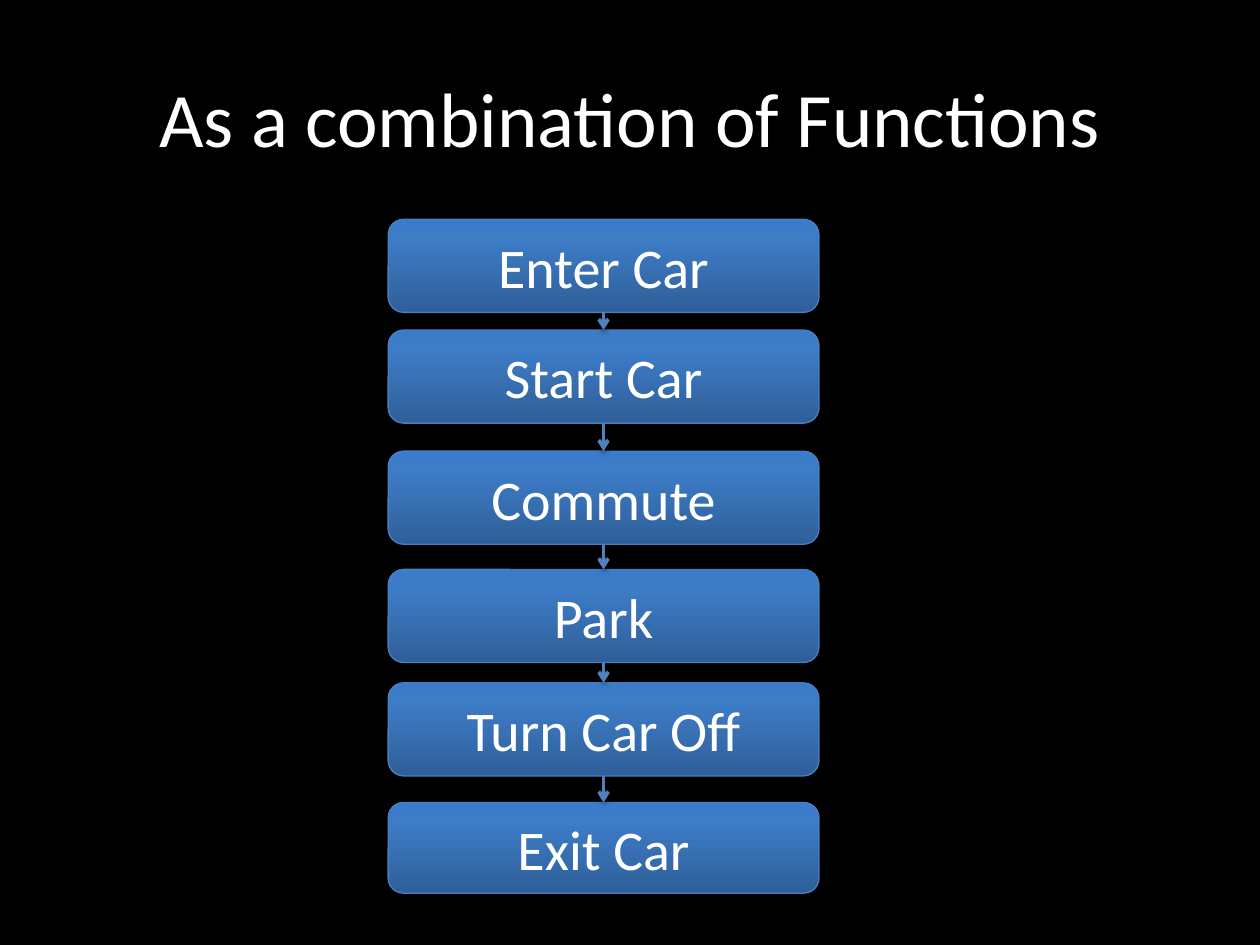
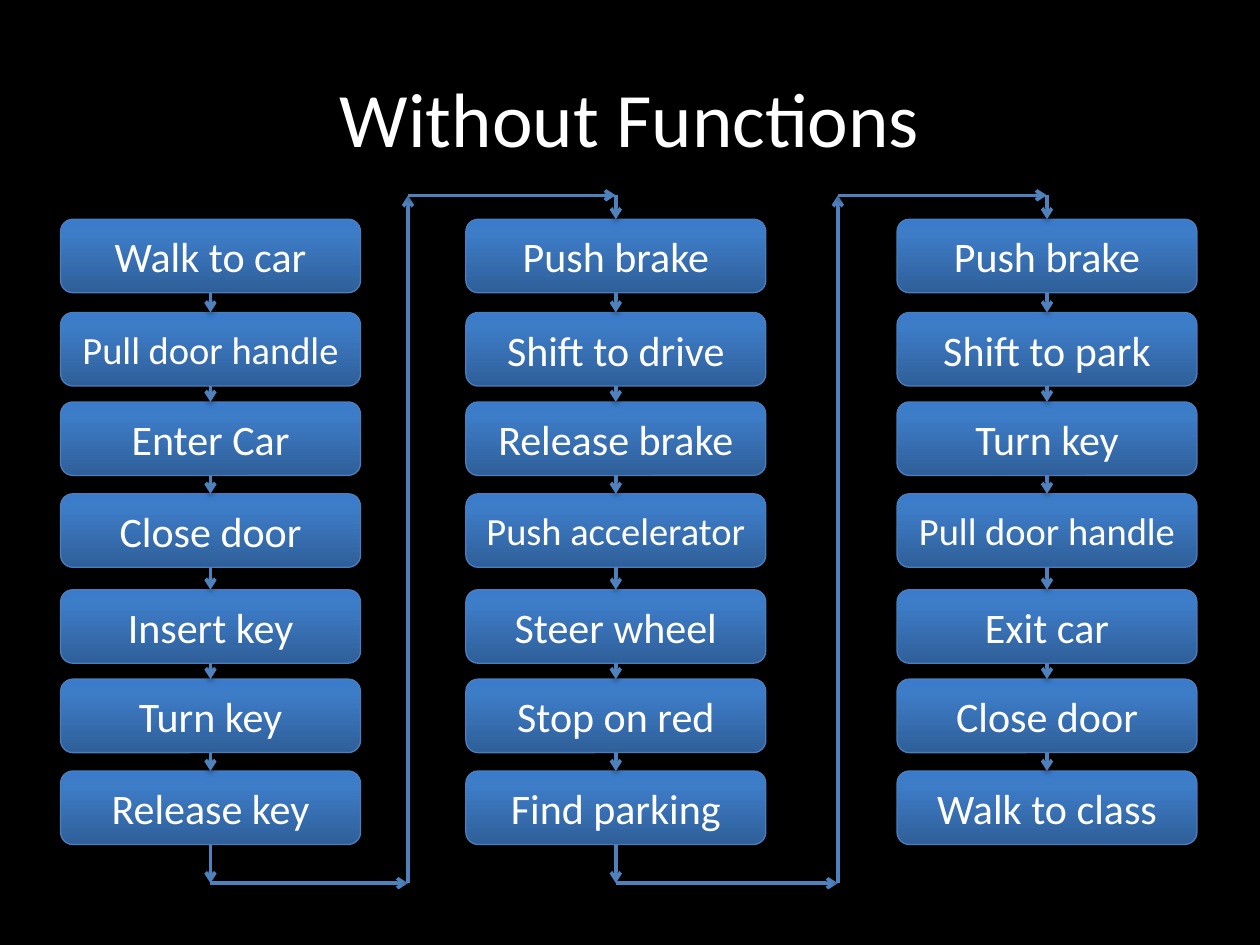
import copy
import dataclasses
import itertools

import pptx
import pptx.dml.color
import pptx.enum.shapes
import pptx.enum.text
import pptx.oxml
import pptx.oxml.ns
import pptx.util

Pt = pptx.util.Pt
qn = pptx.oxml.ns.qn


@dataclasses.dataclass(frozen=True)
class Theme:
    font: str = "Calibri"
    background: str = "000000"
    text: str = "FFFFFF"
    outline: str = "4B7EBC"
    arrow: str = "4F81BD"
    gradient: tuple = ((0, "2F5F99"), (0.8, "3D7CC7"), (1, "3A7CCB"))
    title_size: float = 44
    function_size: float = 32
    step_size: float = 24
    long_step_size: float = 22
    outline_width: float = 0.75
    arrow_width: float = 2


def color(value):
    return pptx.dml.color.RGBColor.from_string(value)


def apply(target, values):
    for name, value in values.items():
        setattr(target, name, value)


def add_shadow(effects, distance, opacity):
    effects.append(pptx.oxml.parse_xml(
        f'<a:outerShdw {pptx.oxml.ns.nsdecls("a")} blurRad="{Pt(3.1)}" '
        f'dist="{Pt(distance)}" dir="5400000" rotWithShape="0">'
        f'<a:srgbClr val="000000"><a:alpha val="{opacity * 1000}"/></a:srgbClr>'
        '</a:outerShdw>'))


class SlideBuilder:
    def __init__(self, deck, theme):
        self.deck = deck
        self.theme = theme
        self.page = None

    def start(self, title):
        self.page = self.deck.slides.add_slide(self.deck.slide_layouts[6])
        fill = self.page.background.fill
        fill.solid()
        fill.fore_color.rgb = color(self.theme.background)
        box = self.page.shapes.add_textbox(Pt(36), Pt(21.6), Pt(648), Pt(90))
        self.label(box, title, self.theme.title_size)

    def label(self, box, text, size):
        apply(box.text_frame, {
            "word_wrap": True,
            "vertical_anchor": pptx.enum.text.MSO_ANCHOR.MIDDLE,
        })
        para = box.text_frame.paragraphs[0]
        para.alignment = pptx.enum.text.PP_ALIGN.CENTER
        span = para.add_run()
        span.text = text
        apply(span.font, {"name": self.theme.font, "size": Pt(size)})
        span.font.color.rgb = color(self.theme.text)

    def step(self, text, left, top, width, height, size):
        box = self.page.shapes.add_shape(
            pptx.enum.shapes.MSO_SHAPE.ROUNDED_RECTANGLE,
            Pt(left), Pt(top), Pt(width), Pt(height))
        box.fill.gradient()
        box.fill.gradient_angle = 90
        stops = box.element.spPr.find(qn("a:gradFill")).find(qn("a:gsLst"))
        stops.append(copy.deepcopy(stops[-1]))
        for stop, (position, shade) in zip(box.fill.gradient_stops, self.theme.gradient):
            stop.position = position
            stop.color.rgb = color(shade)
        box.line.width = Pt(self.theme.outline_width)
        box.line.color.rgb = color(self.theme.outline)
        box.shadow.inherit = False
        add_shadow(box.element.spPr.find(qn("a:effectLst")), 1.8, 35)
        self.label(box, text, size)
        return box

    def arrow(self, start, end):
        line = self.page.shapes.add_connector(
            pptx.enum.shapes.MSO_CONNECTOR.STRAIGHT, *start, *end)
        line.line.width = Pt(self.theme.arrow_width)
        line.line.color.rgb = color(self.theme.arrow)
        properties = line.element.spPr
        outline = properties.find(qn("a:ln"))
        outline.append(outline.makeelement(qn("a:tailEnd"), {"type": "arrow"}))
        effects = properties.makeelement(qn("a:effectLst"), {})
        properties.append(effects)
        add_shadow(effects, 1.6, 38)
        return line

    def route(self, points):
        for start, end in itertools.pairwise(points):
            self.arrow(start, end)

    def chain(self, boxes):
        for upper, lower in itertools.pairwise(boxes):
            line = self.arrow(bottom_center(upper), top_center(lower))
            line.begin_connect(upper, 2)
            line.end_connect(lower, 0)


def top_center(box):
    return box.left + box.width // 2, box.top


def bottom_center(box):
    return box.left + box.width // 2, box.top + box.height


def build_functions(builder):
    builder.start("As a combination of Functions")
    functions = {
        "Enter Car": 125.3, "Start Car": 188.6, "Commute": 257.8,
        "Park": 325.4, "Turn Car Off": 390.2, "Exit Car": 458.6,
    }
    boxes = [
        builder.step(text, 221.8, top, 246.2, 53.2, builder.theme.function_size)
        for text, top in functions.items()
    ]
    boxes[-1].height = Pt(51.8)
    builder.chain(boxes)


def build_steps(builder):
    builder.start("Without Functions")
    row_tops = (125.3, 178.6, 229.7, 282.2, 337, 388.1, 440.6)
    columns = {
        34.6: ("Walk to car", "Pull door handle", "Enter Car", "Close door",
               "Insert key", "Turn key", "Release key"),
        266.2: ("Push brake", "Shift to drive", "Release brake", "Push accelerator",
                "Steer wheel", "Stop on red", "Find parking"),
        512.6: ("Push brake", "Shift to park", "Turn key", "Pull door handle",
                "Exit car", "Close door", "Walk to class"),
    }
    theme = builder.theme
    stacks = []
    for left, steps in columns.items():
        stack = []
        for text, top in zip(steps, row_tops):
            size = theme.long_step_size if len(text) > 14 else theme.step_size
            stack.append(builder.step(text, left, top, 171.4, 42, size))
        builder.chain(stack)
        stacks.append(stack)

    low, high = Pt(504.7), Pt(111.6)
    for (before, after), lane in zip(itertools.pairwise(stacks), (Pt(233.2), Pt(478.8))):
        start, end = bottom_center(before[-1]), top_center(after[0])
        builder.route([
            start, (start[0], low), (lane, low), (lane, high), (end[0], high), end])


def main():
    deck = pptx.Presentation()
    apply(deck, {"slide_width": Pt(720), "slide_height": Pt(540)})
    builder = SlideBuilder(deck, Theme())
    build_functions(builder)
    build_steps(builder)
    deck.save("out.pptx")


if __name__ == "__main__":
    main()
